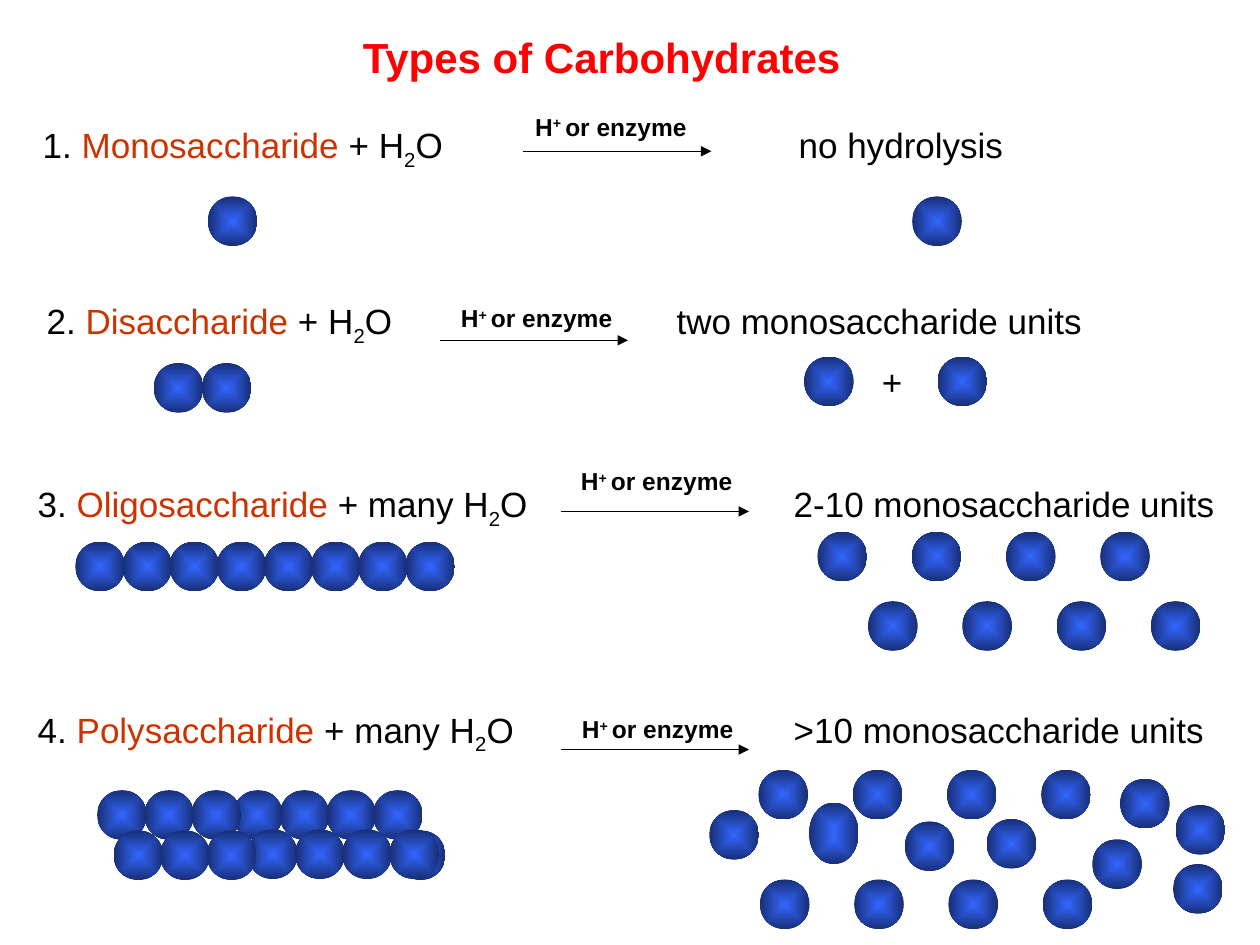
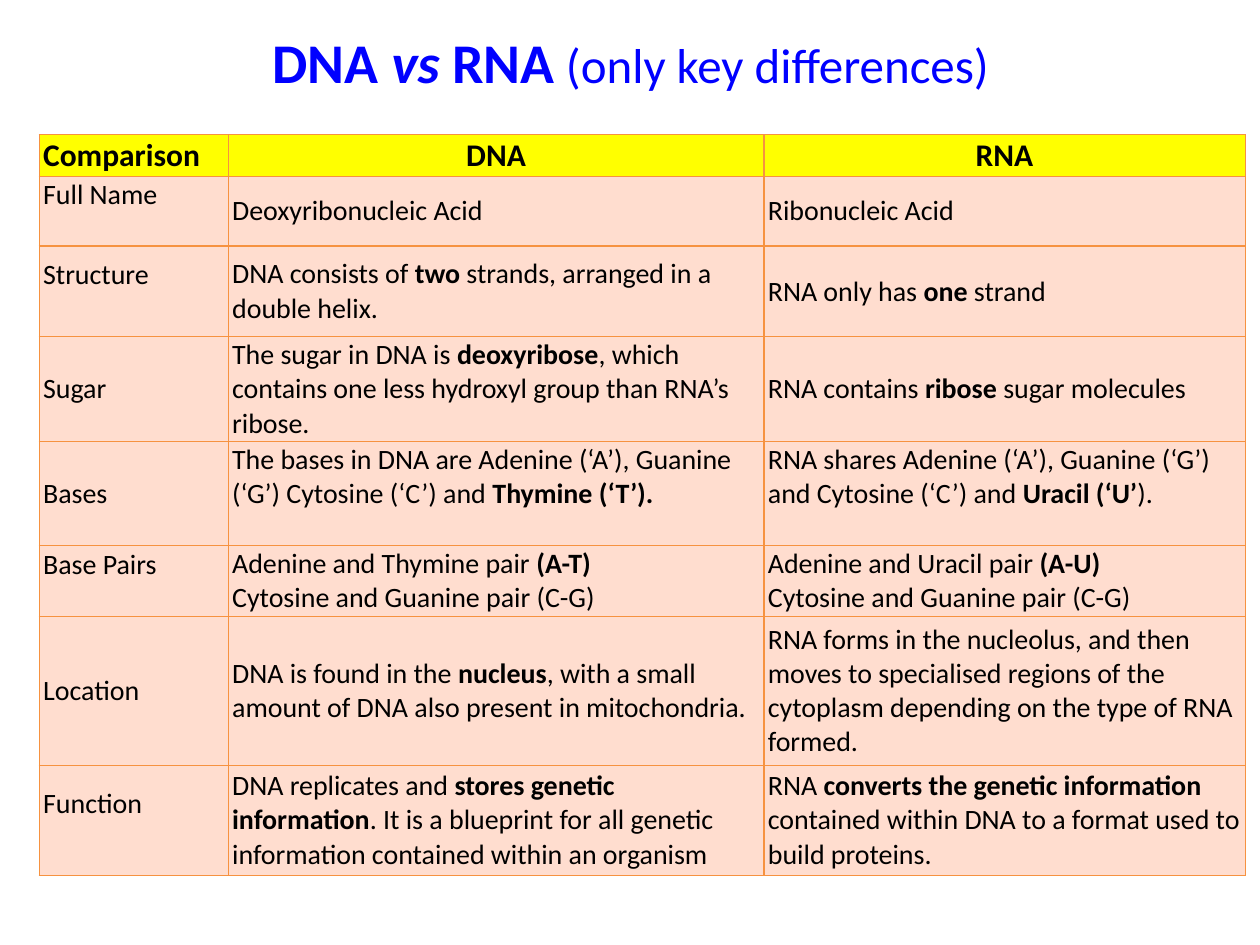
from lxml import etree
from pptx import Presentation
from pptx.dml.color import RGBColor
from pptx.enum.shapes import MSO_CONNECTOR, MSO_SHAPE
from pptx.enum.text import MSO_ANCHOR, MSO_AUTO_SIZE, PP_ALIGN
from pptx.oxml.ns import qn
from pptx.util import Cm, Pt

STRAIGHT, ELLIPSE = MSO_CONNECTOR.STRAIGHT, MSO_SHAPE.OVAL
TOP, MIDDLE = MSO_ANCHOR.TOP, MSO_ANCHOR.MIDDLE
LEFT, CENTER = PP_ALIGN.LEFT, PP_ALIGN.CENTER
NO_AUTOFIT = MSO_AUTO_SIZE.NONE
TITLE_ONLY = 5

COLORS = {
    "text": "000000", "red": "FF0000", "rust": "CC3300", "blue": "0000FF",
    "unit_center": "3366FF", "unit_edge": "182F76",
    "header": "FFFF00", "body": "FFDDCF", "border": "F69240",
}

# ---- Content: carbohydrates (lengths in cm) ----
# Each reaction: text box (left, top, width), tab stop of the product,
# and the top left corners of the arrow and its label
REACTIONS = [
    {"number": "1. ", "name": "Monosaccharide", "water": " + H", "product": "no hydrolysis",
     "box": (0.61, 2.36, 20.7), "tab": 15.24, "arrow": (10.54, 3.05), "label": (10.54, 2.13)},
    {"number": "2. ", "name": "Disaccharide", "water": " + H",
     "product": "two monosaccharide units",
     "box": (0.69, 5.92, 21.62), "tab": 12.7, "arrow": (8.86, 6.86), "label": (9.04, 5.99)},
    {"number": "3. ", "name": "Oligosaccharide", "water": " + many H",
     "product": "2-10 monosaccharide units",
     "box": (0.51, 9.6, 24.71), "tab": 15.24, "arrow": (11.3, 10.31), "label": (11.46, 9.27)},
    {"number": "4. ", "name": "Polysaccharide", "water": " + many H",
     "product": ">10 monosaccharide units",
     "box": (0.51, 14.15, 24.71), "tab": 15.24, "arrow": (11.3, 15.11), "label": (11.48, 14.27)},
]
ARROW_LENGTH = 3.8
UNIT_SIZE = 1.0

# Rows of sugar units: left, top, pitch, count
UNIT_ROWS = [
    # monosaccharide
    (4.19, 3.96, 0, 1), (18.39, 3.96, 0, 1),
    # disaccharide
    (3.1, 7.32, 0.97, 2), (16.21, 7.19, 2.69, 2),
    # oligosaccharide
    (1.52, 10.92, 0.95, 8), (16.48, 10.72, 1.9, 4), (17.5, 12.12, 1.9, 4),
    # polysaccharide chain
    (4.7, 15.93, 0.94, 4), (1.96, 15.93, 0.95, 3),
    (7.98, 16.74, 0, 1), (5.0, 16.72, 0.95, 4), (2.29, 16.74, 0.94, 3),
    # polysaccharide units
    (15.29, 15.52, 1.9, 4), (15.32, 17.73, 1.9, 4),
]
LOOSE_UNITS = [(19.89, 16.51), (18.24, 16.56), (22.02, 16.92), (23.7, 16.23),
               (22.58, 15.7), (23.65, 17.42), (14.3, 16.33)]
TALL_UNIT = (16.31, 16.18, 1.24)
PLUS_BOX = (17.53, 7.14, 0.91)

# ---- Content: DNA and RNA (** encloses bold words) ----
COMPARISON = [
    ("Comparison", "DNA", "RNA"),
    ("Full Name", "Deoxyribonucleic Acid", "Ribonucleic Acid"),
    ("Structure",
     "DNA consists of **two** strands, arranged in a double helix.",
     "RNA only has **one** strand"),
    ("Sugar",
     "The sugar in DNA is **deoxyribose**, which contains one less hydroxyl group "
     "than RNA’s ribose.",
     "RNA contains **ribose** sugar molecules"),
    ("Bases",
     "The bases in DNA are Adenine (‘A’), Guanine (‘G’) Cytosine (‘C’) and **Thymine (‘T’).**",
     "RNA shares Adenine (‘A’), Guanine (‘G’) and Cytosine (‘C’) and **Uracil (‘U’**)."),
    ("Base Pairs",
     "Adenine and Thymine pair **(A-T)**\nCytosine and Guanine pair (C-G)",
     "Adenine and Uracil pair **(A-U)**\nCytosine and Guanine pair (C-G)"),
    ("Location",
     "DNA is found in the **nucleus**, with a small amount of DNA also present in mitochondria.",
     "RNA forms in the nucleolus, and then moves to specialised regions of the cytoplasm "
     "depending on the type of RNA formed."),
    ("Function",
     "DNA replicates and **stores genetic information**. It is a blueprint for all genetic "
     "information contained within an organism",
     "RNA **converts the genetic information** contained within DNA to a format used to "
     "build proteins."),
]
TABLE_PLACE = (0.79, 2.72)
COLUMN_WIDTHS = [3.81, 10.8, 9.7]
ROW_HEIGHTS = [0.83, 1.41, 1.83, 2.1, 2.1, 1.43, 3.0, 2.21]
# Cells (row, column) whose text sits half a line above the middle
RAISED_CELLS = {(1, 0), (2, 0), (4, 1), (4, 2), (5, 0), (7, 0)}
LINE_HEIGHT = 0.69


# ---- Shared helpers ----
def rgb(name):
    return RGBColor.from_string(COLORS[name])


def add_runs(paragraph, runs, font_name, size, color="text", bold=False):
    """Add runs given as (text, differences from the common format)."""
    for text, changes in runs:
        run = paragraph.add_run()
        run.text = text
        run.font.name = font_name
        run.font.size = Pt(changes.get("size", size))
        run.font.bold = changes.get("bold", bold)
        run.font.italic = changes.get("italic", False)
        run.font.color.rgb = rgb(changes.get("color", color))
        if "baseline" in changes:
            run._r.get_or_add_rPr().set("baseline", str(changes["baseline"] * 1000))


def add_titled_slide(presentation, place, runs, font_name, size, color, alignment):
    slide = presentation.slides.add_slide(presentation.slide_layouts[TITLE_ONLY])
    title = slide.shapes.title
    title.left, title.top, title.width, title.height = map(Cm, place)
    title.text_frame.auto_size = NO_AUTOFIT
    title.text_frame.vertical_anchor = MIDDLE
    paragraph = title.text_frame.paragraphs[0]
    paragraph.alignment = alignment
    add_runs(paragraph, runs, font_name, size, color, bold=True)
    return slide


def add_text(slide, left, top, width, height, runs, size, bold=False, wrap=True, tab=None):
    box = slide.shapes.add_textbox(Cm(left), Cm(top), Cm(width), Cm(height))
    box.text_frame.word_wrap = wrap
    paragraph = box.text_frame.paragraphs[0]
    if tab:
        tabs = etree.SubElement(paragraph._p.get_or_add_pPr(), qn("a:tabLst"))
        etree.SubElement(tabs, qn("a:tab"), pos=str(Cm(tab)), algn="l")
    add_runs(paragraph, runs, "Arial", size, bold=bold)


# ---- Slide 1 parts ----
def add_unit(slide, left, top, height=UNIT_SIZE):
    shape = slide.shapes.add_shape(ELLIPSE, Cm(left), Cm(top), Cm(UNIT_SIZE), Cm(height))
    shape.shadow.inherit = False
    shape.line.fill.background()
    shape.fill.gradient()
    stops = zip(shape.fill.gradient_stops, ((0, "unit_center"), (1, "unit_edge")))
    for stop, (position, color) in stops:
        stop.position = position
        stop.color.rgb = rgb(color)
    # Turn the linear gradient into one that spreads from the centre
    gradient = shape._element.spPr.find(qn("a:gradFill"))
    gradient.remove(gradient.find(qn("a:lin")))
    spread = etree.SubElement(gradient, qn("a:path"), {"path": "shape"})
    etree.SubElement(spread, qn("a:fillToRect"), dict.fromkeys("ltrb", "50000"))


def add_arrow(slide, left, top):
    arrow = slide.shapes.add_connector(
        STRAIGHT, Cm(left), Cm(top), Cm(left + ARROW_LENGTH), Cm(top))
    arrow.line.width = Pt(0.75)
    arrow.line.color.rgb = rgb("text")
    etree.SubElement(arrow.line._get_or_add_ln(), qn("a:tailEnd"), type="triangle")
    etree.SubElement(arrow._element.spPr, qn("a:effectLst"))


def add_reaction(slide, reaction):
    left, top, width = reaction["box"]
    equation = [
        (reaction["number"], {}),
        (reaction["name"], {"color": "rust"}),
        (reaction["water"], {}),
        ("2", {"baseline": -25}),
        ("O\t" + reaction["product"], {}),
    ]
    add_text(slide, left, top, width, 1.1, equation, 20, tab=reaction["tab"])
    add_arrow(slide, *reaction["arrow"])
    condition = [("H", {}), ("+ ", {"baseline": 30}), ("or enzyme", {})]
    add_text(slide, *reaction["label"], 3.58, 0.84, condition, 14, bold=True, wrap=False)


def build_carbohydrates(presentation):
    slide = add_titled_slide(presentation, (7.06, 0.51, 10.24, 1.27),
                             [("Types of Carbohydrates", {})], "Arial", 24, "red", LEFT)
    slide.shapes.title.text_frame.word_wrap = False
    for reaction in REACTIONS:
        add_reaction(slide, reaction)
    add_text(slide, *PLUS_BOX, 1.1, [("+", {})], 20, wrap=False)
    for left, top, pitch, count in UNIT_ROWS:
        for index in range(count):
            add_unit(slide, left + index * pitch, top)
    add_unit(slide, *TALL_UNIT)
    for left, top in LOOSE_UNITS:
        add_unit(slide, left, top)


# ---- Slide 2 parts ----
def add_borders(cell):
    properties = cell._tc.get_or_add_tcPr()
    for side in ("lnL", "lnR", "lnT", "lnB"):
        line = etree.SubElement(properties, qn("a:" + side), w=str(Pt(0.75)))
        fill = etree.SubElement(line, qn("a:solidFill"))
        etree.SubElement(fill, qn("a:srgbClr"), val=COLORS["border"])


def fill_cell(cell, text, row, column):
    is_header = row == 0
    add_borders(cell)
    cell.fill.solid()
    cell.fill.fore_color.rgb = rgb("header" if is_header else "body")
    cell.vertical_anchor = MIDDLE
    cell.margin_left = cell.margin_right = Cm(0.08)
    cell.margin_top = Cm(0.02)
    cell.margin_bottom = Cm(LINE_HEIGHT if (row, column) in RAISED_CELLS else 0.02)
    for index, line in enumerate(text.split("\n")):
        frame = cell.text_frame
        paragraph = frame.add_paragraph() if index else frame.paragraphs[0]
        paragraph.alignment = CENTER if is_header and column else LEFT
        runs = [(part, {"bold": is_header or position % 2 == 1})
                for position, part in enumerate(line.split("**")) if part]
        add_runs(paragraph, runs, "Calibri", 18 if is_header else 16)


def build_comparison(presentation):
    heading = [("DNA ", {}), ("vs", {"italic": True}), (" RNA", {}),
               (" (only key differences)", {"size": 28, "bold": False})]
    slide = add_titled_slide(presentation, (0.03, 0.41, 25.37, 1.63),
                             heading, "Calibri", 32, "blue", CENTER)
    left, top = TABLE_PLACE
    table = slide.shapes.add_table(
        len(ROW_HEIGHTS), len(COLUMN_WIDTHS), Cm(left), Cm(top),
        Cm(sum(COLUMN_WIDTHS)), Cm(sum(ROW_HEIGHTS))).table
    table.first_row = table.horz_banding = False
    for column, width in zip(table.columns, COLUMN_WIDTHS):
        column.width = Cm(width)
    for row, height in zip(table.rows, ROW_HEIGHTS):
        row.height = Cm(height)
    for row, texts in enumerate(COMPARISON):
        for column, text in enumerate(texts):
            fill_cell(table.cell(row, column), text, row, column)


def main():
    presentation = Presentation()
    presentation.slide_width, presentation.slide_height = Cm(25.4), Cm(19.05)
    build_carbohydrates(presentation)
    build_comparison(presentation)
    presentation.save("out.pptx")


if __name__ == "__main__":
    main()
